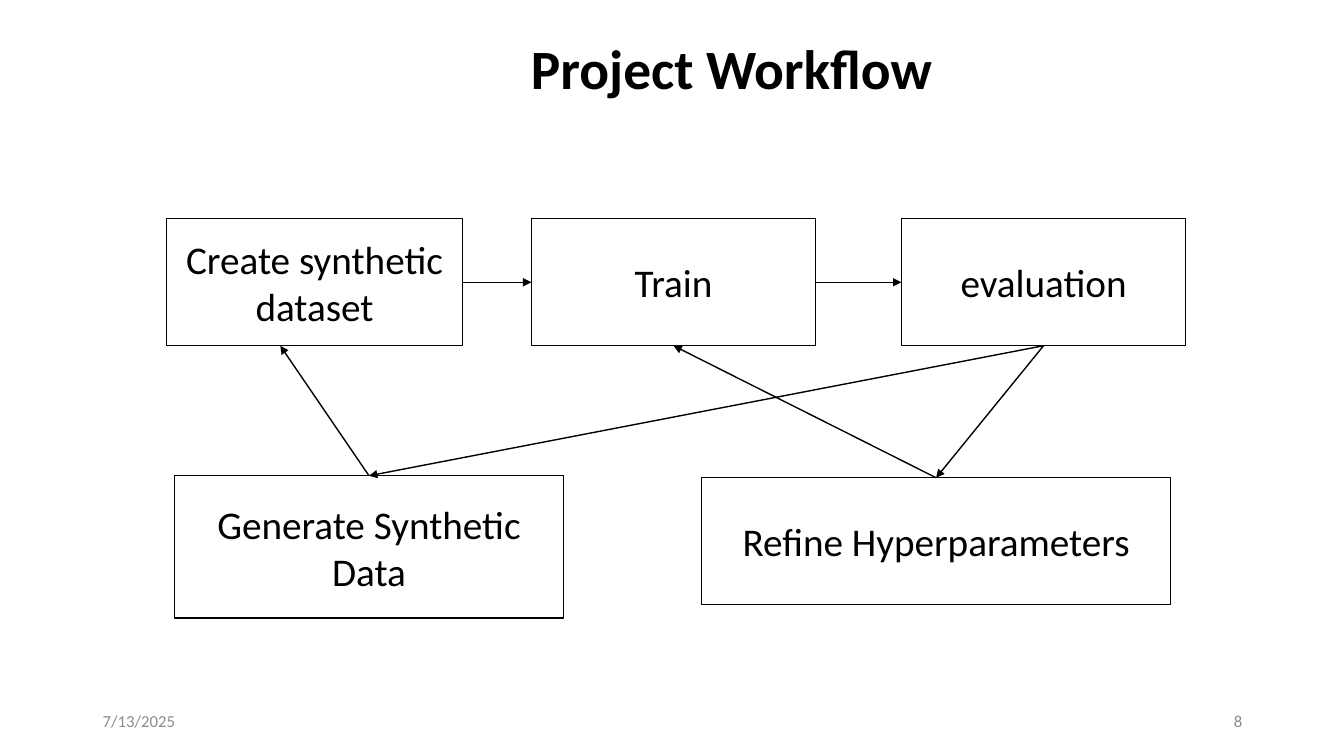
import dataclasses

import pptx
import pptx.dml.color
import pptx.enum.shapes
import pptx.enum.text
import pptx.oxml
import pptx.oxml.ns
import pptx.util
from pptx.util import Inches

ALIGN = pptx.enum.text.PP_ALIGN
TOP, LEFT, BOTTOM, RIGHT = range(4)


@dataclasses.dataclass(frozen=True)
class Theme:
    """Colours, font and type sizes of the slide."""
    font: str = "Calibri"
    ink: str = "000000"
    paper: str = "FFFFFF"
    muted: str = "8C8C8C"
    title_size: float = 39.6
    step_size: float = 28
    footer_size: float = 12
    line_width: float = 1


THEME = Theme()


def rgb(color):
    """Turn a hex string into a colour."""
    return pptx.dml.color.RGBColor.from_string(color)


def write(frame, text, size, color, align, bold=False):
    """Write one formatted, vertically centred paragraph."""
    frame.word_wrap = True
    frame.auto_size = pptx.enum.text.MSO_AUTO_SIZE.NONE
    frame.vertical_anchor = pptx.enum.text.MSO_ANCHOR.MIDDLE
    paragraph = frame.paragraphs[0]
    paragraph.alignment = align
    run = paragraph.add_run()
    run.text = text
    run.font.name = THEME.font
    run.font.size = pptx.util.Pt(size)
    run.font.bold = bold
    run.font.color.rgb = rgb(color)
    return paragraph


def add_title(slide, text):
    """Place and fill the title placeholder."""
    title = slide.shapes.title
    title.left, title.top = Inches(3.59), Inches(0.39)
    title.width, title.height = Inches(7.33), Inches(0.63)
    paragraph = write(title.text_frame, text, THEME.title_size, THEME.ink, ALIGN.CENTER, True)
    paragraph.line_spacing = 0.9


def add_footer(slide, text, left, align):
    """Add a small grey text at the foot of the slide."""
    footer = slide.shapes.add_textbox(Inches(left), Inches(6.95), Inches(3), Inches(0.4))
    write(footer.text_frame, text, THEME.footer_size, THEME.muted, align)


def add_step(slide, text, left, top, width, height=1.26):
    """Add an outlined box for one workflow step."""
    step = slide.shapes.add_shape(
        pptx.enum.shapes.MSO_SHAPE.RECTANGLE,
        Inches(left), Inches(top), Inches(width), Inches(height))
    step.shadow.inherit = False
    step.fill.solid()
    step.fill.fore_color.rgb = rgb(THEME.paper)
    step.line.color.rgb = rgb(THEME.ink)
    step.line.width = pptx.util.Pt(THEME.line_width)
    write(step.text_frame, text, THEME.step_size, THEME.ink, ALIGN.CENTER)
    return step


def add_arrow(slide, source, source_side, target=None, target_side=None, end=(0, 0)):
    """Draw an arrow from a step to another step or to a free point."""
    arrow = slide.shapes.add_connector(
        pptx.enum.shapes.MSO_CONNECTOR.STRAIGHT, 0, 0, Inches(end[0]), Inches(end[1]))
    arrow.begin_connect(source, source_side)
    if target is not None:
        arrow.end_connect(target, target_side)
    arrow.line.color.rgb = rgb(THEME.ink)
    arrow.line.width = pptx.util.Pt(THEME.line_width)
    head = pptx.oxml.parse_xml(
        f'<a:tailEnd {pptx.oxml.ns.nsdecls("a")} type="triangle"/>')
    arrow.line._get_or_add_ln().append(head)
    arrow._element.spPr.append(
        pptx.oxml.parse_xml(f'<a:effectLst {pptx.oxml.ns.nsdecls("a")}/>'))


def main():
    """Build the workflow slide and save it."""
    deck = pptx.Presentation()
    deck.slide_width, deck.slide_height = Inches(13.33), Inches(7.5)
    slide = deck.slides.add_slide(deck.slide_layouts[5])

    add_title(slide, "Project Workflow")
    add_footer(slide, "7/13/2025", 0.92, ALIGN.LEFT)
    add_footer(slide, "8", 9.42, ALIGN.RIGHT)

    create = add_step(slide, "Create synthetic dataset", 1.65, 2.17, 2.94)
    train = add_step(slide, "Train", 5.27, 2.17, 2.82)
    evaluation = add_step(slide, "evaluation", 8.94, 2.17, 2.82)
    refine = add_step(slide, "Refine Hyperparameters", 6.96, 4.74, 4.65)
    generate = add_step(slide, "Generate Synthetic Data", 1.73, 4.72, 3.86, 1.41)

    add_arrow(slide, create, RIGHT, train, LEFT)
    add_arrow(slide, train, RIGHT, evaluation, LEFT)
    add_arrow(slide, evaluation, BOTTOM, refine, TOP)
    add_arrow(slide, refine, TOP, train, BOTTOM)
    add_arrow(slide, evaluation, BOTTOM, generate, TOP)
    add_arrow(slide, generate, TOP, end=(2.78, 3.43))

    deck.save("out.pptx")


if __name__ == "__main__":
    main()
